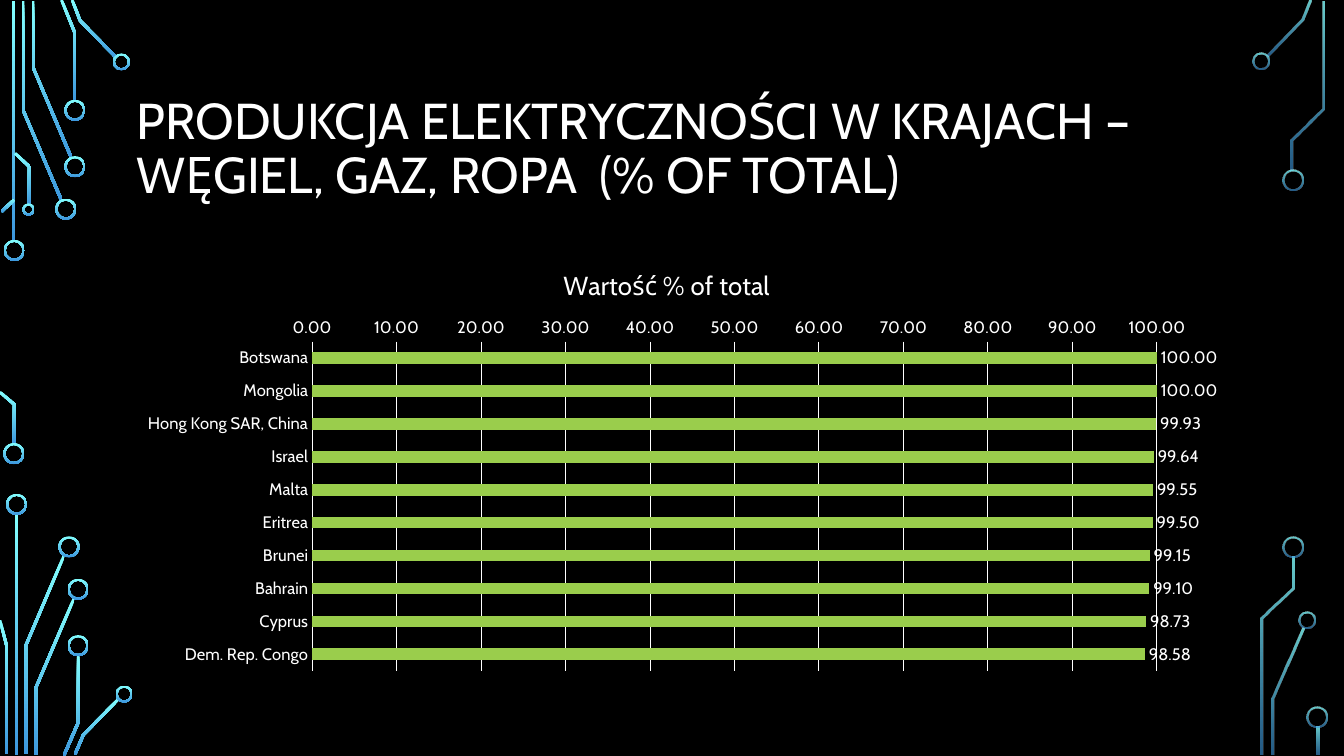
import math

from lxml import etree
from pptx import Presentation
from pptx import util as u
from pptx.chart import data as chart_data
from pptx.dml.color import RGBColor
from pptx.enum import chart as ch
from pptx.enum import shapes, text
from pptx.oxml.ns import qn

FONT = "Cabin"
BLACK = RGBColor(0x00, 0x00, 0x00)
WHITE = RGBColor(0xFF, 0xFF, 0xFF)
GREEN = RGBColor(0x9A, 0xCD, 0x4C)
CYAN = RGBColor(0x82, 0xFF, 0xFF)
BLUE = RGBColor(0x3D, 0x97, 0xDE)

TITLE = "PRODUKCJA ELEKTRYCZNOŚCI W KRAJACH – WĘGIEL, GAZ, ROPA  (% OF TOTAL)"
CHART_TITLE = "Wartość % of total"
SHARES = {
    "Botswana": 100, "Mongolia": 100, "Hong Kong SAR, China": 99.93,
    "Israel": 99.64, "Malta": 99.55, "Eritrea": 99.5, "Brunei": 99.15,
    "Bahrain": 99.1, "Cyprus": 98.73, "Dem. Rep. Congo": 98.58,
}

# Circuit decoration in cm: centre lines of traces, centres of rings by diameter
TRACE_WIDTH, RING_WIDTH = 0.07, 0.05
BIG, MEDIUM, SMALL = 0.53, 0.43, 0.31
LEFT_CIRCUIT = {
    "opacity": (100, 100),
    "traces": [
        [(0.34, 0.02), (0.34, 6.1)],
        [(0.58, 0.02), (0.58, 2.77), (1.55, 5.05)],
        [(0.83, 0.02), (0.83, 1.69), (1.8, 3.98)],
        [(1.55, 0), (1.89, 0.84), (1.89, 2.54)],
        [(1.82, 0), (2.02, 0.52), (2.93, 1.45)],
        [(0.36, 5.03), (0.04, 5.33)],
        [(0, 9.88), (0.36, 10.19), (0.36, 11.2)],
        [(0.38, 3.86), (0.74, 4.2), (0.74, 5.16)],
        [(0.42, 12.95), (0.42, 19.02)],
        [(0.65, 19), (0.65, 16.27), (1.61, 14.01)],
        [(0.17, 19), (0.17, 16.28), (0, 15.63)],
        [(0.9, 19.02), (0.9, 17.34), (1.87, 15.07)],
        [(1.61, 19.04), (1.97, 18.21), (1.97, 16.51)],
        [(1.89, 19.01), (2.1, 18.52), (3, 17.6)],
    ],
    "rings": {
        BIG: [(0.36, 6.31), (0.35, 11.43), (1.66, 5.27), (1.89, 4.2),
              (1.89, 2.78), (0.42, 12.71), (1.74, 13.78), (1.97, 14.85),
              (1.97, 16.27)],
        MEDIUM: [(3.06, 1.56), (3.13, 17.49)],
        SMALL: [(0.72, 5.28)],
    },
}
RIGHT_CIRCUIT = {
    "opacity": (80, 60),
    "traces": [
        [(31.93, 1.41), (32.83, 0.5), (33.03, 0.01)],
        [(32.07, 19.02), (32.07, 17.61), (32.84, 15.84)],
        [(32.56, 4.29), (32.56, 3.52), (33.34, 2.73), (33.34, 0.03)],
        [(31.81, 19.02), (31.81, 15.58), (32.6, 14.82), (32.6, 14.02)],
        [(33.21, 18.31), (33.21, 19.02)],
    ],
    "rings": {
        BIG: [(32.58, 4.53), (32.59, 13.78), (33.18, 18.08)],
        MEDIUM: [(31.79, 1.54), (32.93, 15.63)],
    },
}


def set_values(target, values):
    for name, value in values.items():
        setattr(target, name, value)


def format_font(font, size):
    set_values(font, {"name": FONT, "size": u.Pt(size), "bold": False})
    font.color.rgb = WHITE


def ribbon_side(points, offset):
    """Shift a polyline sideways by offset, with mitred corners."""
    normals = []
    for (x1, y1), (x2, y2) in zip(points, points[1:]):
        length = math.hypot(x2 - x1, y2 - y1)
        normals.append(((y1 - y2) / length, (x2 - x1) / length))
    side = []
    for (x, y), before, after in zip(points, normals[:1] + normals,
                                     normals + normals[-1:]):
        scale = offset / (1 + before[0] * after[0] + before[1] * after[1])
        side.append((u.Cm(x + scale * (before[0] + after[0])),
                     u.Cm(y + scale * (before[1] + after[1]))))
    return side


def paint(shape, opacity):
    shape.shadow.inherit = False
    shape.line.fill.background()
    shape.fill.gradient()
    shape.fill.gradient_angle = 270
    for stop, position, color, percent in zip(
            shape.fill.gradient_stops, (0, 1), (CYAN, BLUE), opacity):
        stop.position = position
        stop.color.rgb = color
    if min(opacity) < 100:
        colors = shape.fill._xPr.iter(qn("a:srgbClr"))
        for color, percent in zip(colors, opacity):
            etree.SubElement(color, qn("a:alpha")).set("val", str(percent * 1000))


def draw_circuit(slide, circuit):
    for points in circuit["traces"]:
        outline = (ribbon_side(points, TRACE_WIDTH / 2)
                   + ribbon_side(points, -TRACE_WIDTH / 2)[::-1])
        builder = slide.shapes.build_freeform(*outline[0])
        builder.add_line_segments(outline[1:], close=True)
        paint(builder.convert_to_shape(), circuit["opacity"])
    for diameter, centres in circuit["rings"].items():
        for x, y in centres:
            ring = slide.shapes.add_shape(
                shapes.MSO_SHAPE.DONUT, u.Cm(x - diameter / 2),
                u.Cm(y - diameter / 2), u.Cm(diameter), u.Cm(diameter))
            ring.adjustments[0] = RING_WIDTH / diameter
            paint(ring, circuit["opacity"])


def add_title(slide):
    title = slide.shapes.title
    set_values(title, {"left": u.Cm(3.18), "top": u.Cm(1.73),
                       "width": u.Cm(27.51), "height": u.Cm(4.11)})
    frame = title.text_frame
    frame.text = TITLE
    set_values(frame, {"word_wrap": True, "auto_size": text.MSO_AUTO_SIZE.NONE,
                       "vertical_anchor": text.MSO_ANCHOR.MIDDLE})
    paragraph = frame.paragraphs[0]
    set_values(paragraph, {"alignment": text.PP_ALIGN.LEFT, "line_spacing": 0.9})
    format_font(paragraph.runs[0].font, 36)


def add_share_chart(slide):
    values = chart_data.CategoryChartData(number_format="0.00")
    values.categories = list(SHARES)
    values.add_series(CHART_TITLE, list(SHARES.values()))
    chart = slide.shapes.add_chart(
        ch.XL_CHART_TYPE.BAR_CLUSTERED, u.Cm(3.18), u.Cm(6.25),
        u.Cm(27.51), u.Cm(10.87), values).chart
    chart.has_legend = False
    format_font(chart.font, 10)
    chart.has_title = True
    chart.chart_title.include_in_layout = False
    chart.chart_title.text_frame.text = CHART_TITLE
    format_font(chart.chart_title.text_frame.paragraphs[0].runs[0].font, 18.6)

    for axis in (chart.category_axis, chart.value_axis):
        set_values(axis, {"major_tick_mark": ch.XL_TICK_MARK.NONE,
                          "minor_tick_mark": ch.XL_TICK_MARK.NONE})
        format_font(axis.tick_labels.font, 11.9)
    chart.category_axis.reverse_order = True
    set_values(chart.value_axis, {"minimum_scale": 0, "maximum_scale": 100,
                                  "major_unit": 10, "has_major_gridlines": True})
    set_values(chart.value_axis.tick_labels,
               {"number_format": "0.00", "number_format_is_linked": False})
    chart.value_axis.format.line.fill.background()
    for line in (chart.category_axis.format.line,
                 chart.value_axis.major_gridlines.format.line):
        line.color.rgb = WHITE
        line.width = u.Pt(0.75)

    plot = chart.plots[0]
    set_values(plot, {"gap_width": 182, "vary_by_categories": False,
                      "has_data_labels": True})
    set_values(plot.data_labels, {
        "show_value": True, "number_format": "0.00",
        "number_format_is_linked": False,
        "position": ch.XL_LABEL_POSITION.OUTSIDE_END})
    format_font(plot.data_labels.font, 11.9)
    bars = plot.series[0].format
    bars.fill.solid()
    bars.fill.fore_color.rgb = GREEN
    bars.line.fill.background()


def main():
    presentation = Presentation()
    set_values(presentation, {"slide_width": u.Cm(33.87),
                              "slide_height": u.Cm(19.05)})
    slide = presentation.slides.add_slide(presentation.slide_layouts[5])
    slide.background.fill.solid()
    slide.background.fill.fore_color.rgb = BLACK
    for circuit in (LEFT_CIRCUIT, RIGHT_CIRCUIT):
        draw_circuit(slide, circuit)
    add_title(slide)
    add_share_chart(slide)
    presentation.save("out.pptx")


if __name__ == "__main__":
    main()
